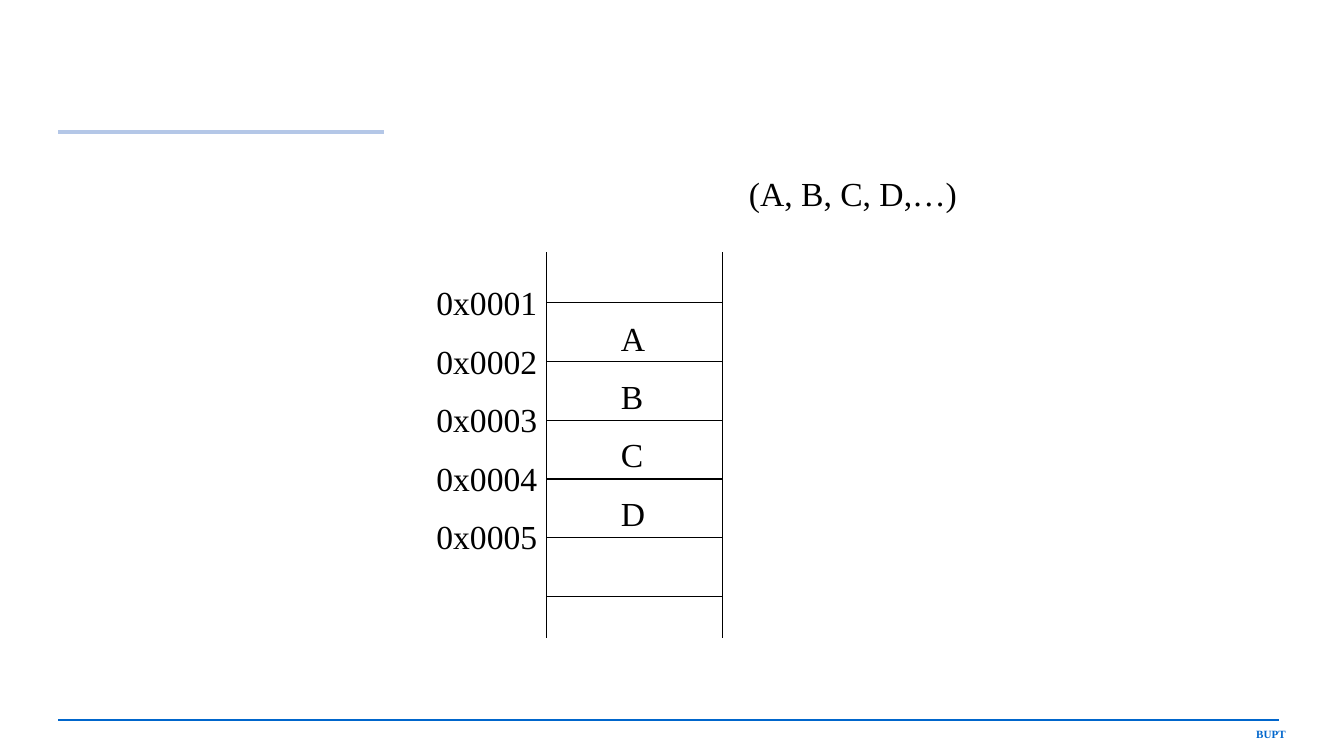
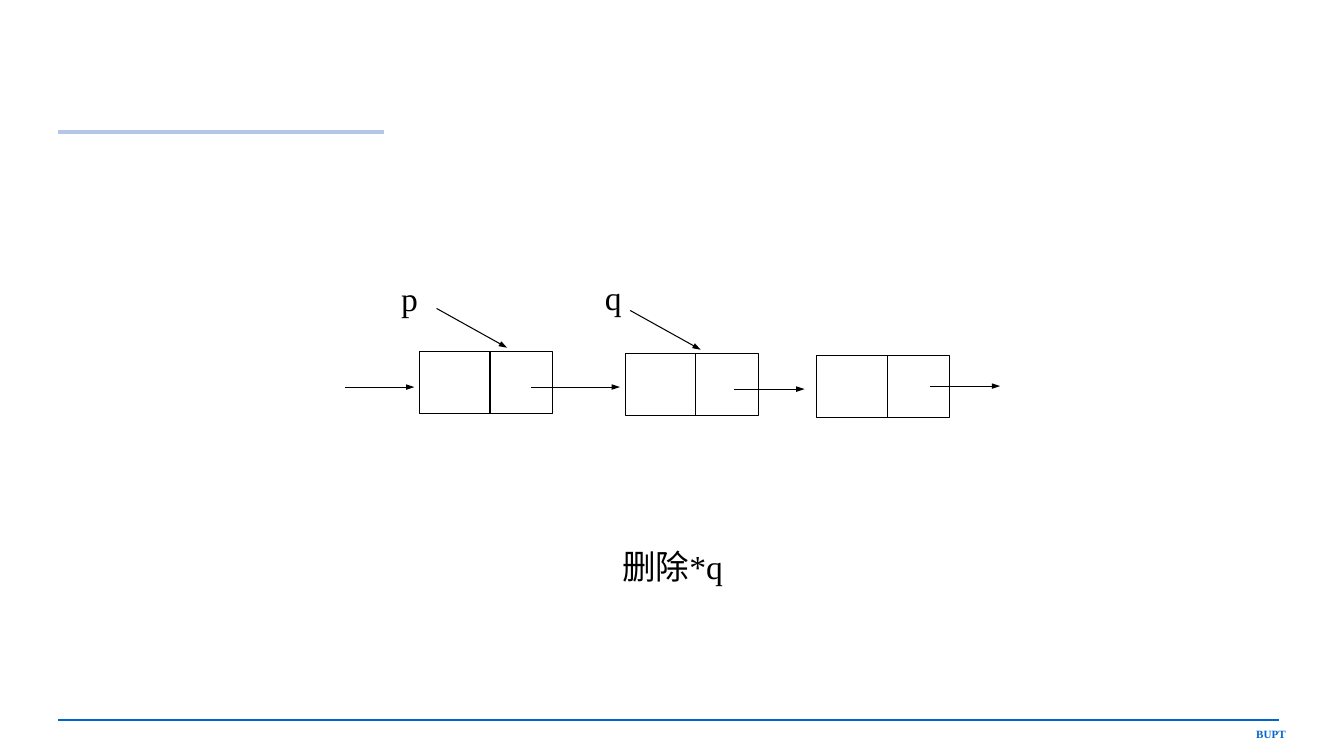
from dataclasses import dataclass

import lxml.etree
import pptx
import pptx.dml.color
import pptx.enum.shapes
import pptx.enum.text
import pptx.oxml.ns
import pptx.presentation
import pptx.shapes.connector
import pptx.slide
import pptx.text.text
import pptx.util

Inches = pptx.util.Inches
Pt = pptx.util.Pt
RGBColor = pptx.dml.color.RGBColor
Align = pptx.enum.text.PP_ALIGN

BLACK = RGBColor(0x00, 0x00, 0x00)
FOOTER_BLUE = RGBColor(0x00, 0x66, 0xCC)
TITLE_RULE_BLUE = RGBColor(0xB4, 0xC7, 0xE7)
FONT_NAME = "Times New Roman"
BODY_SIZE = 24
THIN = 0.75

CELL_LEFT, CELL_RIGHT = 5.42, 7.17
MEMORY_TOP, MEMORY_BOTTOM = 2.5, 6.33
FIRST_ROW_TOP, ROW_STEP, ROW_LINE_COUNT = 3.0, 0.584, 6
MEMORY_LINE_SPACING = 1.45

NODE_WIDTH, NODE_HEIGHT, LINK_FIELD_OFFSET = 1.32, 0.61, 0.7
POINTER_WIDTH, POINTER_HEIGHT = 0.7, 0.39


@dataclass(frozen=True)
class Node:
    left: float
    top: float


@dataclass(frozen=True)
class Link:
    left: float
    right: float
    y: float


@dataclass(frozen=True)
class Pointer:
    name: str
    label_left: float
    label_top: float
    arrow_left: float
    arrow_top: float


@dataclass(frozen=True)
class TextStyle:
    size: float = BODY_SIZE
    color: RGBColor = BLACK
    bold: bool = False
    alignment: Align = Align.LEFT
    line_spacing: float = 1.0
    inset: bool = True
    wrap: bool = False


PLAIN = TextStyle()
MEMORY_COLUMN = TextStyle(line_spacing=MEMORY_LINE_SPACING)
LABEL = TextStyle(alignment=Align.JUSTIFY, inset=False, wrap=True)
FOOTER = TextStyle(7.9, FOOTER_BLUE, True, Align.RIGHT, wrap=True)

NODES = [Node(4.16, 3.49), Node(6.2, 3.51), Node(8.1, 3.53)]
LINKS = [
    Link(3.42, 4.11, 3.84),
    Link(5.27, 6.15, 3.84),
    Link(7.28, 7.98, 3.86),
    Link(9.22, 9.92, 3.83),
]
POINTERS = [
    Pointer("p", 3.98, 2.76, 4.33, 3.06),
    Pointer("q", 6.0, 2.75, 6.25, 3.08),
]


def add_line(
    slide: pptx.slide.Slide,
    x1: float,
    y1: float,
    x2: float,
    y2: float,
    color: RGBColor = BLACK,
    width: float = THIN,
) -> pptx.shapes.connector.Connector:
    line = slide.shapes.add_connector(
        pptx.enum.shapes.MSO_CONNECTOR.STRAIGHT,
        Inches(x1), Inches(y1), Inches(x2), Inches(y2),
    )
    line.line.color.rgb = color
    line.line.width = Pt(width)
    properties = line._element.spPr
    lxml.etree.SubElement(properties, pptx.oxml.ns.qn("a:effectLst"))
    return line


def add_arrow(
    slide: pptx.slide.Slide, x1: float, y1: float, x2: float, y2: float
) -> None:
    arrow = add_line(slide, x1, y1, x2, y2)
    outline = arrow._element.spPr.find(pptx.oxml.ns.qn("a:ln"))
    lxml.etree.SubElement(
        outline, pptx.oxml.ns.qn("a:tailEnd"), type="triangle", w="sm", len="med"
    )


def add_text(
    slide: pptx.slide.Slide,
    text: str,
    left: float,
    top: float,
    width: float,
    height: float,
    style: TextStyle = PLAIN,
) -> None:
    box = slide.shapes.add_textbox(
        Inches(left), Inches(top), Inches(width), Inches(height)
    )
    frame = box.text_frame
    frame.word_wrap = style.wrap
    if not style.inset:
        frame.margin_left = frame.margin_right = Inches(0)
        frame.margin_top = frame.margin_bottom = Inches(0)
    frame.text = text
    for paragraph in frame.paragraphs:
        paragraph.alignment = style.alignment
        paragraph.line_spacing = style.line_spacing
        for run in paragraph.runs:
            run.font.name = FONT_NAME
            run.font.size = Pt(style.size)
            run.font.bold = style.bold
            run.font.color.rgb = style.color


def add_framed_slide(
    presentation: pptx.presentation.Presentation,
) -> pptx.slide.Slide:
    slide = presentation.slides.add_slide(presentation.slide_layouts[6])
    add_line(slide, 0.58, 7.14, 12.69, 7.14, FOOTER_BLUE, 1.5)
    add_text(slide, "BUPT", 11.5, 7.17, 1.35, 0.23, FOOTER)
    add_line(slide, 0.58, 1.31, 3.81, 1.31, TITLE_RULE_BLUE, 3.5)
    return slide


def add_node(slide: pptx.slide.Slide, node: Node) -> None:
    shape = slide.shapes.add_shape(
        pptx.enum.shapes.MSO_SHAPE.RECTANGLE,
        Inches(node.left), Inches(node.top),
        Inches(NODE_WIDTH), Inches(NODE_HEIGHT),
    )
    shape.shadow.inherit = False
    shape.fill.background()
    shape.line.color.rgb = BLACK
    shape.line.width = Pt(THIN)
    divider = node.left + LINK_FIELD_OFFSET
    add_line(slide, divider, node.top, divider, node.top + NODE_HEIGHT)


def add_pointer(slide: pptx.slide.Slide, pointer: Pointer) -> None:
    add_text(
        slide, pointer.name, pointer.label_left, pointer.label_top, 0.5, 0.5, LABEL
    )
    add_arrow(
        slide,
        pointer.arrow_left,
        pointer.arrow_top,
        pointer.arrow_left + POINTER_WIDTH,
        pointer.arrow_top + POINTER_HEIGHT,
    )


def build_memory_slide(presentation: pptx.presentation.Presentation) -> None:
    slide = add_framed_slide(presentation)
    for x in (CELL_LEFT, CELL_RIGHT):
        add_line(slide, x, MEMORY_TOP, x, MEMORY_BOTTOM)
    for row in range(ROW_LINE_COUNT):
        y = FIRST_ROW_TOP + row * ROW_STEP
        add_line(slide, CELL_LEFT, y, CELL_RIGHT, y)
    addresses = "\n".join(f"0x{number:04}" for number in range(1, 6))
    add_text(slide, "\n".join("ABCD"), 6.06, 2.92, 0.44, 3, MEMORY_COLUMN)
    add_text(slide, addresses, 4.23, 2.57, 1.2, 3, MEMORY_COLUMN)
    add_text(slide, "(A, B, C, D,…)", 7.33, 1.67, 2.27, 0.5)


def build_linked_list_slide(presentation: pptx.presentation.Presentation) -> None:
    slide = add_framed_slide(presentation)
    add_text(slide, "删除*q", 6.17, 5.42, 4.43, 0.43, LABEL)
    for node in NODES:
        add_node(slide, node)
    for link in LINKS:
        add_arrow(slide, link.left, link.y, link.right, link.y)
    for pointer in POINTERS:
        add_pointer(slide, pointer)


def main() -> None:
    presentation = pptx.Presentation()
    presentation.slide_width = Inches(13.33)
    presentation.slide_height = Inches(7.5)
    build_memory_slide(presentation)
    build_linked_list_slide(presentation)
    presentation.save("out.pptx")


if __name__ == "__main__":
    main()
